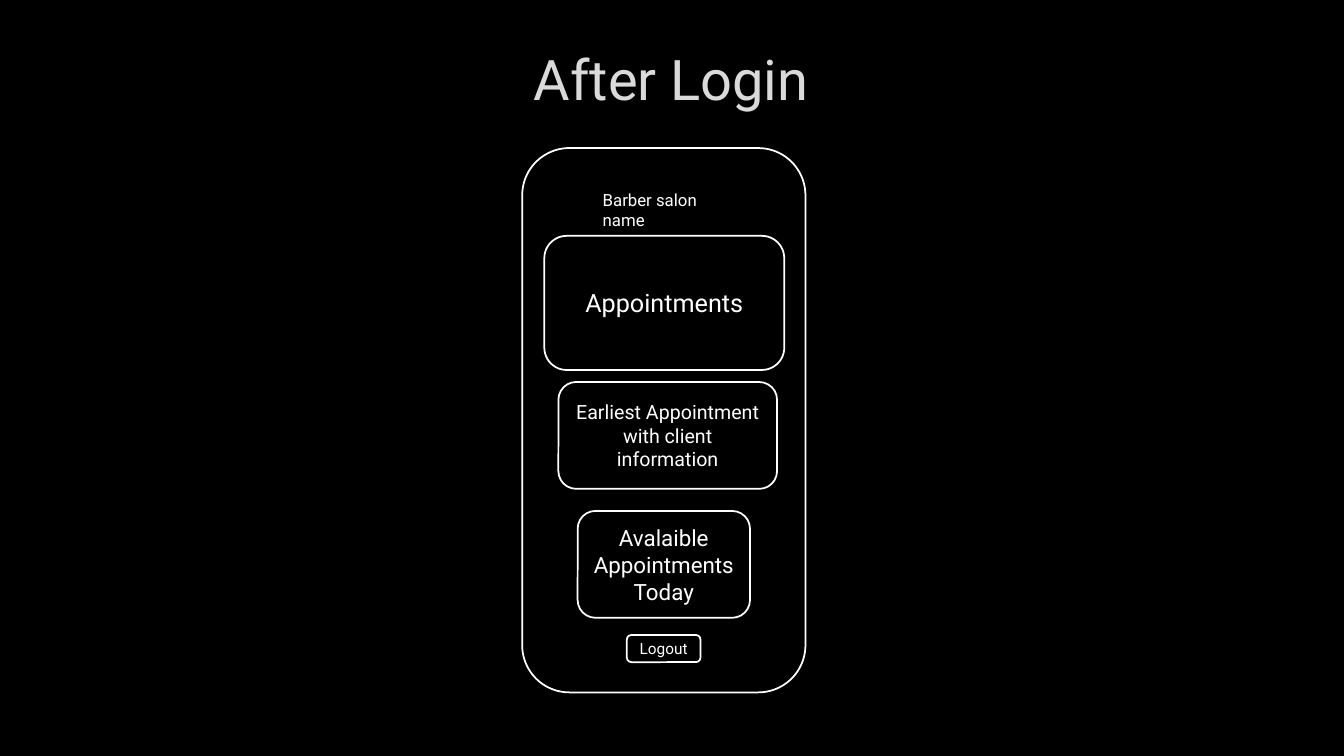
from pptx import Presentation
from pptx.dml.color import RGBColor
from pptx.enum.shapes import MSO_SHAPE
from pptx.enum.text import MSO_ANCHOR, PP_ALIGN
from pptx.util import Pt

BLACK = RGBColor(0x00, 0x00, 0x00)
WHITE = RGBColor(0xFF, 0xFF, 0xFF)
LIGHT_GREY = RGBColor(0xDA, 0xDA, 0xDA)
FONT = "Roboto"
ROUNDED = MSO_SHAPE.ROUNDED_RECTANGLE
MIDDLE, TOP = MSO_ANCHOR.MIDDLE, MSO_ANCHOR.TOP
CENTER, LEFT = PP_ALIGN.CENTER, PP_ALIGN.LEFT

PHONE = (373, 105.8, 202.3, 388.8)
BUTTONS = [
    ((388.8, 168.5, 171.4, 95.8), "Appointments", 18),
    ((398.9, 272.9, 156.2, 76.3), "Earliest Appointment with client information", 14),
    ((447.8, 453.6, 52.6, 19.4), "Logout", 11),
    ((412.6, 365, 123.1, 76.3), "Avalaible Appointments\nToday", 16),
]


def write(shape, text, size, color=WHITE, align=CENTER, anchor=MIDDLE):
    frame = shape.text_frame
    frame.word_wrap = True
    frame.vertical_anchor = anchor
    frame.text = text
    for paragraph in frame.paragraphs:
        paragraph.alignment = align
        paragraph.font.name = FONT
        paragraph.font.size = Pt(size)
        paragraph.font.color.rgb = color


def add_panel(slide, box):
    panel = slide.shapes.add_shape(ROUNDED, *map(Pt, box))
    panel.shadow.inherit = False
    panel.fill.solid()
    panel.fill.fore_color.rgb = BLACK
    panel.line.color.rgb = WHITE
    panel.line.width = Pt(1.25)
    return panel


def add_label(slide, box, text, size, **style):
    label = slide.shapes.add_textbox(*map(Pt, box))
    write(label, text, size, **style)


def main():
    deck = Presentation()
    deck.slide_width, deck.slide_height = Pt(960), Pt(540)
    slide = deck.slides.add_slide(deck.slide_layouts[6])
    slide.background.fill.solid()
    slide.background.fill.fore_color.rgb = BLACK

    add_panel(slide, PHONE)
    add_label(slide, (72, 17.3, 815, 76.3), "After Login", 40, color=LIGHT_GREY)
    add_label(slide, (423.4, 131.8, 112, 21.6), "Barber salon name", 12,
              align=LEFT, anchor=TOP)
    for box, text, size in BUTTONS:
        write(add_panel(slide, box), text, size)

    deck.save("out.pptx")


if __name__ == "__main__":
    main()
